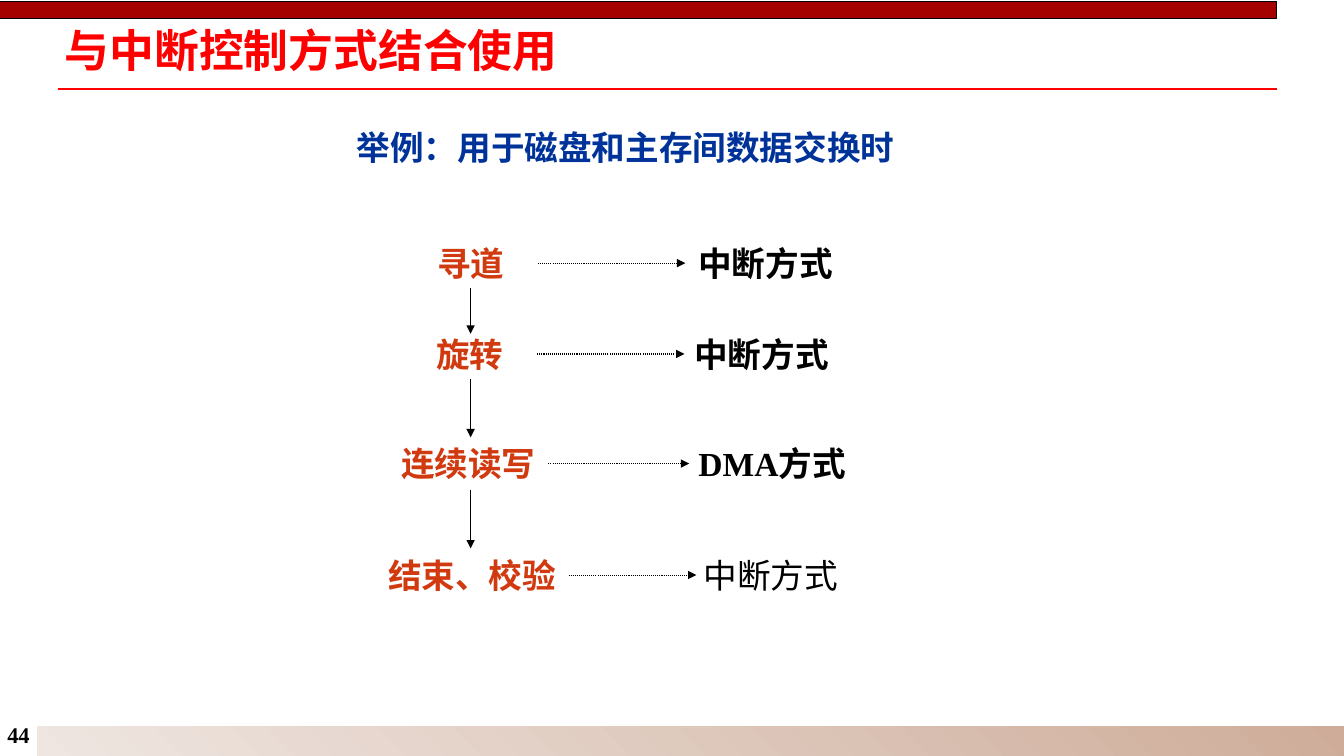
from lxml.etree import SubElement
from pptx import Presentation
from pptx.dml.color import RGBColor
from pptx.enum.dml import MSO_LINE
from pptx.enum.shapes import MSO_CONNECTOR, MSO_SHAPE
from pptx.enum.text import MSO_ANCHOR, PP_ALIGN
from pptx.oxml.ns import qn
from pptx.util import Cm, Pt

CJK_FONT = "Noto Sans CJK SC"
LATIN_FONT = "Times New Roman"


def write_text(shape, text, size, color, font=LATIN_FONT, bold=True, margins=(0.25, 0.13)):
    frame = shape.text_frame
    frame.word_wrap = True
    frame.vertical_anchor = MSO_ANCHOR.MIDDLE
    frame.margin_left = frame.margin_right = Cm(margins[0])
    frame.margin_top = frame.margin_bottom = Cm(margins[1])
    paragraph = frame.paragraphs[0]
    paragraph.alignment = PP_ALIGN.LEFT
    paragraph.space_before = Pt(0)
    run = paragraph.add_run()
    run.text = text
    paragraph.font.size = Pt(size)
    paragraph.font.bold = bold
    paragraph.font.name = font
    paragraph.font.color.rgb = RGBColor.from_string(color)
    run.font.size = Pt(size)
    run.font.bold = bold
    run.font.name = font
    run.font.color.rgb = RGBColor.from_string(color)
    SubElement(run.font._element, qn("a:ea"), typeface=CJK_FONT)
    return paragraph


def draw_line(x1, y1, x2, y2, color="000000", width=0.75, arrow=True):
    line = slide.shapes.add_connector(MSO_CONNECTOR.STRAIGHT, Cm(x1), Cm(y1), Cm(x2), Cm(y2))
    line.line.color.rgb = RGBColor.from_string(color)
    line.line.width = Pt(width)
    if arrow:
        SubElement(line.line._get_or_add_ln(), qn("a:tailEnd"), type="triangle")
    SubElement(line._element.spPr, qn("a:effectLst"))
    return line


presentation = Presentation()
presentation.slide_width = Cm(33.87)
presentation.slide_height = Cm(19.05)
slide = presentation.slides.add_slide(presentation.slide_layouts[1])

draw_line(1.45, 2.24, 32.18, 2.24, "FF0000", 1, arrow=False)

footer_band = slide.shapes.add_shape(MSO_SHAPE.RECTANGLE, Cm(0.91), Cm(18.29), Cm(33), Cm(0.79))
footer_band.fill.gradient()
footer_band.fill.gradient_angle = 225
for stop, color in zip(footer_band.fill.gradient_stops, ("CEAC99", "EFE6E1")):
    stop.color.rgb = RGBColor.from_string(color)
top_band = slide.shapes.add_shape(MSO_SHAPE.RECTANGLE, Cm(0), Cm(0.03), Cm(32.18), Cm(0.43))
top_band.fill.solid()
top_band.fill.fore_color.rgb = RGBColor.from_string("A40000")
for band, color in ((footer_band, "FFFFFF"), (top_band, "000000")):
    band.line.color.rgb = RGBColor.from_string(color)
    band.line.width = Pt(0.75)
    band.shadow.inherit = False

page_number = slide.shapes.add_textbox(Cm(-0.08), Cm(18.08), Cm(1.09), Cm(0.86))
write_text(page_number, "44", 16, "000000").alignment = PP_ALIGN.CENTER
page_number.text_frame.word_wrap = False

title = slide.shapes.title
title.left, title.top, title.width, title.height = Cm(1.45), Cm(0.69), Cm(30.53), Cm(1.32)
heading = write_text(title, "与中断控制方式结合使用", 32, "FF0000", CJK_FONT, margins=(0.18, 0.08))
heading.line_spacing = 0.87

example = slide.placeholders[1]
example.left, example.top, example.width, example.height = Cm(8.81), Cm(3.12), Cm(18.19), Cm(1.17)
paragraph = write_text(example, "举例：用于磁盘和主存间数据交换时", 24, "003399", CJK_FONT, margins=(0.18, 0.08))
properties = paragraph._p.get_or_add_pPr()
properties.set("marL", "0")
properties.set("indent", "0")
SubElement(properties, qn("a:buNone"))

steps = [
    ("寻道", 10.77, "中断方式", 17.35, 6.63, 13.56, 17.27, True),
    ("旋转", 10.74, "中断方式", 17.25, 8.92, 13.54, 17.25, True),
    ("连续读写", 9.86, "DMA方式", 17.35, 11.68, 13.82, 17.37, True),
    ("结束、校验", 9.53, "中断方式", 17.48, 14.49, 14.33, 17.55, False),
]
for step, step_left, mode, mode_left, middle, arrow_start, arrow_end, bold in steps:
    for text, left, color, is_bold in ((step, step_left, "D1390F", True), (mode, mode_left, "000000", bold)):
        box = slide.shapes.add_textbox(Cm(left), Cm(middle - 0.635), Cm(4.9), Cm(1.27))
        write_text(box, text, 24, color, bold=is_bold)
    arrow = draw_line(arrow_start, middle, arrow_end, middle)
    arrow.line.dash_style = MSO_LINE.ROUND_DOT

for top, bottom in ((7.26, 8.41), (9.55, 11.02), (12.34, 13.82)):
    draw_line(11.86, top, 11.86, bottom)

presentation.save("out.pptx")
